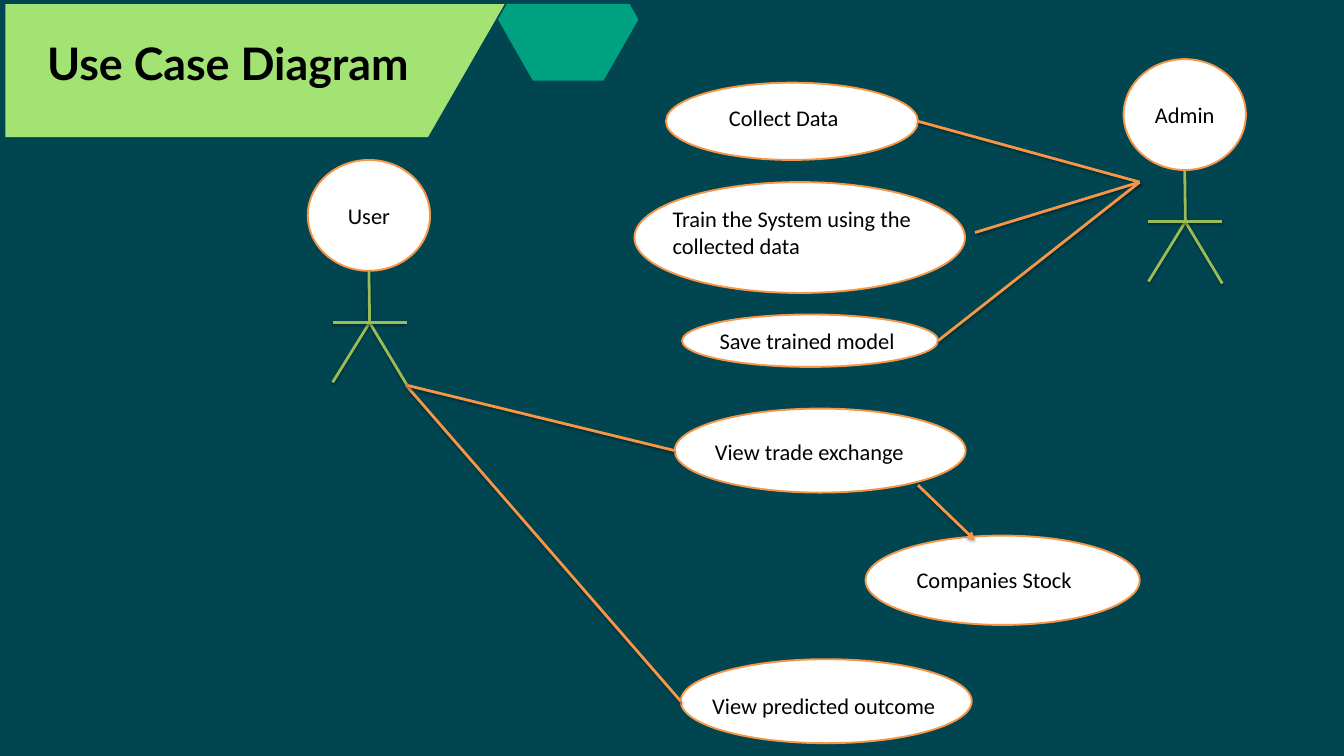
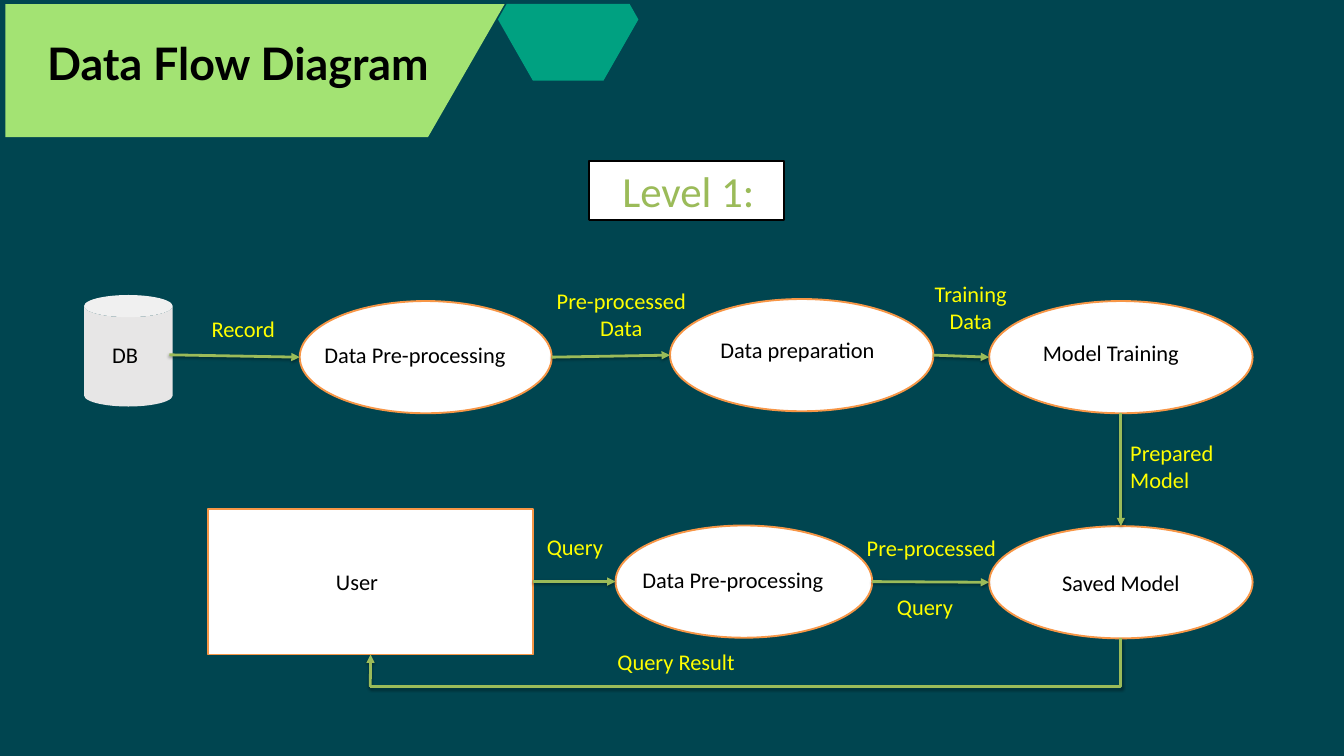
import pptx
import pptx.util
import pptx.dml.color
import pptx.enum.shapes
import pptx.enum.text
import pptx.oxml
import pptx.oxml.ns

Inches = pptx.util.Inches
Pt = pptx.util.Pt
SHAPES = pptx.enum.shapes.MSO_SHAPE
CONNECTORS = pptx.enum.shapes.MSO_CONNECTOR
ANCHOR = pptx.enum.text.MSO_ANCHOR
ALIGN = pptx.enum.text.PP_ALIGN

TEAL, LIME, MINT = "004550", "A3E373", "00A181"
ORANGE, GREEN, YELLOW = "F79646", "9BBB59", "FFFF00"
WHITE, BLACK, GREY = "FFFFFF", "000000", "E7E6E6"

BANNER = [(0.08, 0.06), (7.51, 0.06), (6.37, 2.04), (0.08, 2.04)]
BANNER_TAIL = [(8.98, 1.2), (7.93, 1.2), (7.41, 0.29), (7.54, 0.06), (9.37, 0.06), (9.5, 0.29)]

# Use case: oval (left, top, width, height), label, label place (left, top, width)
USE_CASES = {
    "collect": ((9.91, 1.23, 3.75, 1.15), "Collect Data", (10.75, 1.5, 2.3)),
    "train": ((9.44, 2.71, 4.92, 1.65), "Train the System using the collected data", (9.91, 3.01, 4.6)),
    "save": ((10.15, 4.68, 3.81, 0.78), "Save trained model", (10.61, 4.82, 3.21)),
    "exchange": ((10.04, 6.08, 4.33, 1.25), "View trade exchange", (10.54, 6.47, 3.34)),
    "stock": ((12.88, 7.97, 4.08, 1.33), "Companies Stock", (13.54, 8.37, 3.02)),
    "outcome": ((10.13, 9.81, 4.33, 1.25), "View predicted outcome", (10.5, 10.25, 3.91)),
}
USER_FOOT, ADMIN_HAND = (6.04, 5.73), (16.96, 2.71)
USE_CASE_LINKS = [
    (("collect", "right"), ADMIN_HAND),
    ((14.51, 3.46), ADMIN_HAND),
    (("save", "right"), ADMIN_HAND),
    (("outcome", "left"), USER_FOOT),
    (("exchange", "left"), USER_FOOT),
]
STOCK_ARROW = ((13.66, 7.22), (14.51, 8.04))

ACTORS = [("User", 4.58, 2.38), ("Admin", 16.72, 0.88)]
HEAD_SIZE = (1.82, 1.65)
HIP = (0.92, 2.42)
LIMBS = [((0.91, 1.65), HIP), (HIP, (0.37, 3.31)), (HIP, (1.47, 3.34)), ((0.37, 2.42), (1.47, 2.42))]

DATABASE = (1.25, 4.39, 1.32, 1.66)
PROCESSES = {
    "clean records": (4.46, 4.48, 3.75, 1.67),
    "prepare": (9.97, 4.45, 3.92, 1.67),
    "train": (14.72, 4.48, 3.92, 1.67),
    "saved": (14.72, 7.83, 3.92, 1.67),
    "clean query": (9.16, 7.82, 3.82, 1.67),
}
USER_BOX = (3.1, 7.57, 4.83, 2.17)
RESULT_CORNER = (5.51, 10.22)
FLOWS = [
    ((2.52, 5.28), ("clean records", "left")),
    (("clean records", "right"), ("prepare", "left")),
    (("prepare", "right"), ("train", "left")),
    (("train", "bottom"), ("saved", "top")),
    (("clean query", "right"), ("saved", "left")),
    (("user", "right"), ("clean query", "left")),
    (RESULT_CORNER, ("user", "bottom")),
]
NODE_LABELS = [
    ("DB", (1.57, 5.03, 1)),
    ("Data Pre-processing", (4.73, 5.03, 3.42)),
    ("Data preparation", (10.62, 4.95, 3.01)),
    ("Model Training", (15.42, 5, 2.9)),
    ("Data Pre-processing", (9.46, 8.38, 3.42)),
]
FLOW_LABELS = [
    ("Query", (8.04, 7.89, 1.83), ALIGN.LEFT),
    ("Query", (13.25, 8.78, 1.2), ALIGN.LEFT),
    ("Record", (3.05, 4.64, 1.45), ALIGN.LEFT),
    ("Pre-processed\nData", (7.62, 4.22, 3.25), ALIGN.CENTER),
    ("Training\nData", (13.34, 4.12, 2.21), ALIGN.CENTER),
    ("Query Result", (9.09, 9.6, 2.26), ALIGN.LEFT),
    ("Prepared\nModel", (16.72, 6.48, 2.62), ALIGN.LEFT),
    ("Pre-processed", (12.8, 7.9, 2.56), ALIGN.LEFT),
]
SIDES = {"top": (0.5, 0), "left": (0, 0.5), "bottom": (0.5, 1), "right": (1, 0.5)}
SITES = {side: number for number, side in enumerate(SIDES)}


def rgb(color):
    return pptx.dml.color.RGBColor.from_string(color)


def write(shape, text, size=24, color=BLACK, font="Calibri", align=ALIGN.LEFT, bold=False):
    frame = shape.text_frame
    frame.word_wrap = True
    frame.text = text
    for para in frame.paragraphs:
        para.alignment = align
        para.font.name, para.font.size, para.font.bold = font, Pt(size), bold
        para.font.color.rgb = rgb(color)
    return frame


def add_label(page, text, place, color=BLACK, align=ALIGN.LEFT):
    left, top, width = place
    height = 0.91 if "\n" in text else 0.5
    box = page.shapes.add_textbox(*map(Inches, (left, top, width, height)))
    write(box, text, color=color, align=align)


def add_node(page, kind, area, fill=WHITE, line=ORANGE):
    node = page.shapes.add_shape(kind, *map(Inches, area))
    node.shadow.inherit = False
    node.fill.solid()
    node.fill.fore_color.rgb = rgb(fill)
    if line:
        node.line.color.rgb = rgb(line)
        node.line.width = Pt(2)
    else:
        node.line.fill.background()
    return node


def add_outline(page, points, fill):
    start, *rest = [(Inches(x), Inches(y)) for x, y in points]
    builder = page.shapes.build_freeform(*start, scale=1.0)
    builder.add_line_segments(rest, close=True)
    outline = builder.convert_to_shape()
    outline.shadow.inherit = False
    outline.fill.solid()
    outline.fill.fore_color.rgb = rgb(fill)
    outline.line.fill.background()


def locate(end, nodes):
    """Turn a point in inches, or a (node, side) pair, into a position."""
    if end[0] not in nodes:
        return Inches(end[0]), Inches(end[1])
    node = nodes[end[0]]
    across, down = SIDES[end[1]]
    return int(node.left + node.width * across), int(node.top + node.height * down)


def add_link(page, start, end, color, nodes=(), arrow=False, kind=CONNECTORS.STRAIGHT):
    link = page.shapes.add_connector(kind, *locate(start, nodes), *locate(end, nodes))
    link.line.color.rgb = rgb(color)
    link.line.width = Pt(3)
    for target, join in ((start, link.begin_connect), (end, link.end_connect)):
        if target[0] in nodes and nodes[target[0]].auto_shape_type == SHAPES.RECTANGLE:
            join(nodes[target[0]], SITES[target[1]])
    if arrow:
        tip = pptx.oxml.parse_xml('<a:tailEnd %s type="triangle"/>' % pptx.oxml.ns.nsdecls("a"))
        link.line._get_or_add_ln().append(tip)
    return link


def add_header(page, title, width):
    add_outline(page, BANNER, LIME)
    add_outline(page, BANNER_TAIL, MINT)
    box = page.shapes.add_textbox(*map(Inches, (-0.15, 0.43, width, 0.91)))
    frame = write(box, title, 48, font="Lato", bold=True)
    frame.margin_left, frame.margin_top = Inches(0.85), Inches(0.1)
    frame.margin_right = frame.margin_bottom = 0


def add_actor(page, name, left, top):
    head = add_node(page, SHAPES.OVAL, (left, top, *HEAD_SIZE))
    write(head, name, align=ALIGN.CENTER)
    for (x1, y1), (x2, y2) in LIMBS:
        add_link(page, (left + x1, top + y1), (left + x2, top + y2), GREEN)


def build_use_cases(page):
    nodes = {name: add_node(page, SHAPES.OVAL, area) for name, (area, _, _) in USE_CASES.items()}
    for _, text, place in USE_CASES.values():
        add_label(page, text, place)
    add_link(page, *STOCK_ARROW, ORANGE, arrow=True)
    for start, end in USE_CASE_LINKS:
        add_link(page, start, end, ORANGE, nodes)
    for actor in ACTORS:
        add_actor(page, *actor)
    add_header(page, "Use Case Diagram", 6.42)


def build_data_flow(page):
    add_node(page, SHAPES.CAN, DATABASE, GREY, None)
    nodes = {name: add_node(page, SHAPES.OVAL, area) for name, area in PROCESSES.items()}
    write(nodes["saved"], "Saved Model", align=ALIGN.CENTER)
    nodes["user"] = add_node(page, SHAPES.RECTANGLE, USER_BOX)
    write(nodes["user"], "User").margin_left = Inches(1.9)

    for start, end in FLOWS:
        add_link(page, start, end, GREEN, nodes, arrow=True)
    result = add_link(page, RESULT_CORNER, ("saved", "bottom"), GREEN, nodes, kind=CONNECTORS.ELBOW)
    result._element.spPr.find(pptx.oxml.ns.qn("a:prstGeom")).set("prst", "bentConnector2")

    for text, place in NODE_LABELS:
        add_label(page, text, place)
    for text, place, align in FLOW_LABELS:
        add_label(page, text, place, YELLOW, align)
    level = add_node(page, SHAPES.RECTANGLE, (8.76, 2.4, 2.91, 0.88), line=BLACK)
    frame = write(level, "Level 1:", 46, GREEN)
    frame.margin_left = Inches(0.5)
    frame.vertical_anchor = ANCHOR.TOP
    add_header(page, "Data Flow Diagram", 6.81)


def main():
    deck = pptx.Presentation()
    deck.slide_width, deck.slide_height = Inches(20), Inches(11.25)
    backdrop = deck.slide_master.background.fill
    backdrop.solid()
    backdrop.fore_color.rgb = rgb(TEAL)
    for build in (build_use_cases, build_data_flow):
        build(deck.slides.add_slide(deck.slide_layouts[6]))
    deck.save("out.pptx")


if __name__ == "__main__":
    main()
